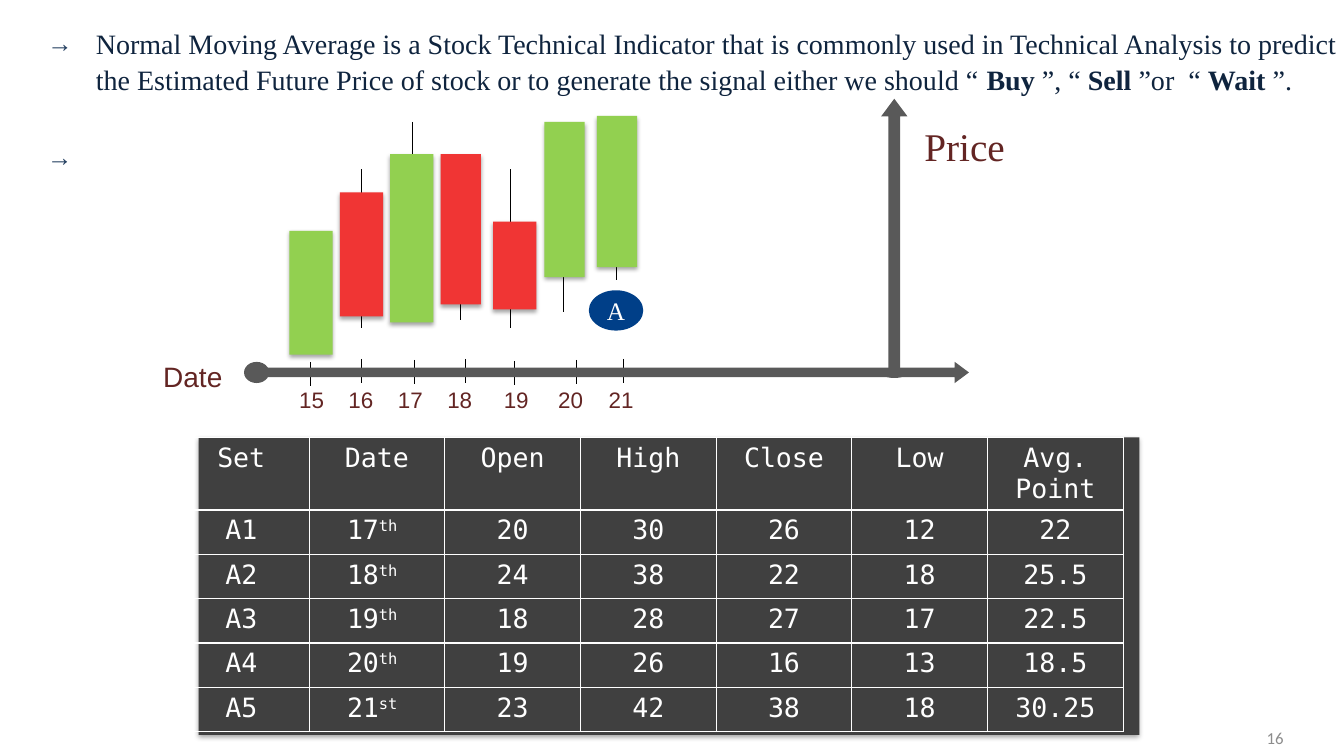
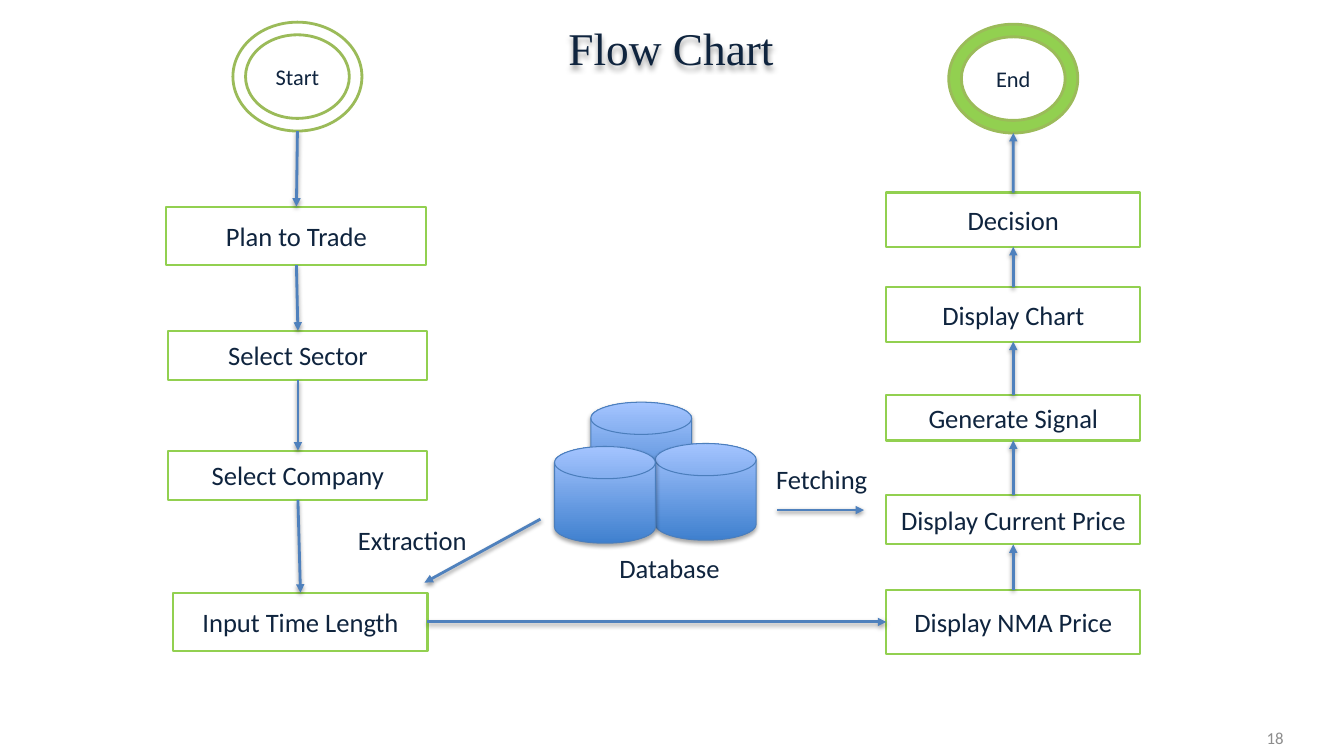
"""Build a moving-average slide and a flow-chart slide."""
from dataclasses import dataclass
from itertools import pairwise
from typing import NamedTuple, Optional

from lxml import etree
from pptx import Presentation
from pptx import util as u
from pptx.dml.color import RGBColor
from pptx.enum import shapes, text
from pptx.oxml import ns

NAVY, MAROON, WHITE, BLACK = "0F243E", "632523", "FFFFFF", "000000"
GREEN, RED, OLIVE, GRAY = "92D050", "F03534", "9BBB59", "595959"
ARROW_BLUE, BULLET_BLUE, BADGE_BLUE, DISK_EDGE = "4F81BD", "254061", "003F88", "4B7EBC"
DISK_DARK, DISK_LIGHT, PANEL, NUMBER_GRAY = "3F80CE", "A4C4FF", "404040", "8C8C8C"
SERIF, SANS, BODY, MONO = "Times New Roman", "Arial", "Calibri", "DejaVu Sans Mono"
LEFT, CENTER, RIGHT = text.PP_ALIGN.LEFT, text.PP_ALIGN.CENTER, text.PP_ALIGN.RIGHT
TOP, MIDDLE = text.MSO_ANCHOR.TOP, text.MSO_ANCHOR.MIDDLE
KIND = shapes.MSO_SHAPE


class Frame(NamedTuple):
    """Position and size in inches."""
    left: float
    top: float
    width: float
    height: float

    @property
    def center(self) -> float:
        """Horizontal middle."""
        return self.left + self.width / 2

    @property
    def bottom(self) -> float:
        """Lower edge."""
        return self.top + self.height

    def lengths(self) -> list:
        """Return the four values as lengths."""
        return [u.Inches(value) for value in self]


class Style(NamedTuple):
    """Look of a paragraph."""
    font: str
    size: float
    color: str
    align: text.PP_ALIGN = LEFT


@dataclass
class Day:
    """One trading day: axis tick, label and candle."""
    date: str
    tick: float
    tick_top: float
    label: float
    color: str
    candle: Frame
    wick: Optional[tuple] = None


@dataclass
class Step:
    """One node of the flow chart."""
    label: str
    frame: Frame


STEP = Style(BODY, 19, NAVY, CENTER)
WICK = 1.57
DAYS = [
    Day("15", 3.08, 3.59, 3.09, GREEN, Frame(2.87, 2.29, 0.43, 1.23)),
    Day("16", 3.59, 3.56, 3.58, RED, Frame(3.37, 1.91, 0.43, 1.23), (3.59, 1.68)),
    Day("17", 4.11, 3.57, 4.07, GREEN, Frame(3.87, 1.53, 0.43, 1.67), (4.09, 1.21)),
    Day("18", 4.62, 3.56, 4.56, RED, Frame(4.37, 1.53, 0.4, 1.49), (4.57, 1.6)),
    Day("19", 5.1, 3.58, 5.12, RED, Frame(4.89, 2.2, 0.43, 0.87), (5.06, 1.68)),
    Day("20", 5.72, 3.57, 5.66, GREEN, Frame(5.4, 1.21, 0.4, 1.54), (5.59, 1.53)),
    Day("21", 6.18, 3.56, 6.16, GREEN, Frame(5.92, 1.15, 0.4, 1.5), (6.11, 1.21)),
]
HEADINGS = ["Set", "Date", "Open", "High", "Close", "Low", "Avg. Point"]
ROWS = [
    ["A1", ("17", "th "), "20", "30", "26", "12", "22"],
    ["A2", ("18", "th "), "24", "38", "22", "18", "25.5"],
    ["A3", ("19", "th "), "18", "28", "27", "17", "22.5"],
    ["A4", ("20", "th "), "19", "26", "16", "13", "18.5"],
    ["A5", ("21", "st "), "23", "42", "38", "18", "30.25"],
]
INTRO = [
    ("Normal Moving Average is a Stock Technical Indicator that is commonly used in "
     "Technical Analysis to predict the Estimated Future Price of stock or to generate "
     "the signal either we should “ ", False),
    ("Buy", True), (" ”, “ ", False), ("Sell", True), (" ”or  “ ", False),
    ("Wait ", True), ("”.", False),
]
START = Step("Start", Frame(2.31, 0.22, 1.28, 1.08))
END = Step("End", Frame(9.41, 0.24, 1.28, 1.08))
INPUTS = [
    Step("Plan to Trade", Frame(1.65, 2.05, 2.58, 0.58)),
    Step("Select Sector", Frame(1.67, 3.28, 2.57, 0.49)),
    Step("Select Company", Frame(1.67, 4.47, 2.57, 0.49)),
    Step("Input Time Length", Frame(1.72, 5.88, 2.52, 0.58)),
]
OUTPUTS = [
    Step(label, Frame(8.79, top, 2.52, height)) for label, top, height in [
        ("Display NMA Price", 5.85, 0.64), ("Display Current Price", 4.91, 0.49),
        ("Generate Signal", 3.92, 0.45), ("Display Chart", 2.85, 0.54),
        ("Decision", 1.91, 0.54)]
]


def rgb(color: str) -> RGBColor:
    """Turn a hex string into a colour."""
    return RGBColor.from_string(color)


def add_child(parent, tag: str, **attributes):
    """Append a DrawingML element."""
    child = etree.SubElement(parent, ns.qn(f"a:{tag}"))
    for name, value in attributes.items():
        child.set(name, str(value))
    return child


def set_shadow(shape, opacity: int = 0, blur: float = 3.1, distance: float = 1.8) -> None:
    """Give a shape a downward shadow, or none when opacity is zero."""
    effects = add_child(shape._element.spPr, "effectLst")
    if opacity:
        outer = add_child(effects, "outerShdw", blurRad=u.Pt(blur), dist=u.Pt(distance),
                          dir=5400000, rotWithShape=0)
        add_child(add_child(outer, "srgbClr", val=BLACK), "alpha", val=opacity * 1000)


def style_paragraph(para, style: Style) -> None:
    """Apply a style to a paragraph."""
    para.alignment = style.align
    para.font.name, para.font.size = style.font, u.Pt(style.size)
    para.font.color.rgb = rgb(style.color)


def write(box, content: str, style: Style, anchor=TOP) -> None:
    """Fill a shape with one styled paragraph."""
    frame = box.text_frame
    frame.word_wrap, frame.vertical_anchor = True, anchor
    frame.auto_size = text.MSO_AUTO_SIZE.NONE
    frame.text = content
    style_paragraph(frame.paragraphs[0], style)


def add_text(page, frame: Frame, content: str, style: Style, anchor=TOP) -> None:
    """Add a text box."""
    write(page.shapes.add_textbox(*frame.lengths()), content, style, anchor)


def add_shape(page, kind, frame: Frame, fill: str = "", line: str = "",
              weight: float = 1, shadow: int = 0):
    """Add a preset shape."""
    shape = page.shapes.add_shape(kind, *frame.lengths())
    if fill:
        shape.fill.solid()
        shape.fill.fore_color.rgb = rgb(fill)
    else:
        shape.fill.background()
    if line:
        shape.line.color.rgb, shape.line.width = rgb(line), u.Pt(weight)
    else:
        shape.line.fill.background()
    set_shadow(shape, shadow)
    return shape


def add_line(page, begin: tuple, end: tuple, color: str = BLACK, weight: float = 0.75,
             arrow: bool = False) -> None:
    """Add a straight line, or a shadowed arrow."""
    points = [u.Inches(value) for value in (*begin, *end)]
    line = page.shapes.add_connector(shapes.MSO_CONNECTOR.STRAIGHT, *points)
    line.line.color.rgb, line.line.width = rgb(color), u.Pt(weight)
    if arrow:
        add_child(line.line._get_or_add_ln(), "tailEnd", type="triangle")
    set_shadow(line, 38 if arrow else 0, distance=1.6)


def add_arrow(page, begin: tuple, end: tuple) -> None:
    """Add a flow arrow."""
    add_line(page, begin, end, ARROW_BLUE, 2, True)


def add_page(deck, layout: int, number: str):
    """Add a page with its number."""
    page = deck.slides.add_slide(deck.slide_layouts[layout])
    add_text(page, Frame(9.72, 7.12, 3.11, 0.4), number,
             Style(BODY, 12, NUMBER_GRAY, RIGHT), MIDDLE)
    return page


def place(box, frame: Frame) -> None:
    """Move and size a placeholder."""
    box.left, box.top, box.width, box.height = frame.lengths()


def add_intro(page) -> None:
    """Write the bulleted introduction in the body placeholder."""
    title = page.shapes.title._element
    title.getparent().remove(title)
    body = page.placeholders[1]
    place(body, Frame(0.37, 0.19, 13.14, 0.8))
    body.text_frame.auto_size = text.MSO_AUTO_SIZE.NONE
    para = body.text_frame.paragraphs[0]
    para.line_spacing, para.space_before, para.space_after = 1.07, u.Pt(0), u.Pt(11.2)
    properties = para._p.get_or_add_pPr()
    properties.set("marL", str(u.Inches(0.48)))
    properties.set("indent", str(-u.Inches(0.48)))
    add_child(add_child(properties, "buClr"), "srgbClr", val=BULLET_BLUE)
    add_child(properties, "buSzPct", val=90000)
    add_child(properties, "buFont", typeface=SANS)
    add_child(properties, "buChar", char="→")
    style_paragraph(para, Style(SERIF, 20, NAVY))
    for content, bold in INTRO:
        span = para.add_run()
        span.text, span.font.bold = content, bold
    add_text(page, Frame(0.37, 1.35, 0.48, 0.4), "→", Style(SANS, 18, BULLET_BLUE))


def add_candles(page) -> None:
    """Draw the candlestick diagram and its axes."""
    for day in DAYS:
        add_line(page, (day.tick, day.tick_top), (day.tick, day.tick_top + 0.24))
        if day.wick:
            x, top = day.wick
            add_line(page, (x, top), (x, top + WICK))
        add_shape(page, KIND.RECTANGLE, day.candle, day.color, shadow=35)
        add_text(page, Frame(day.label - 0.25, 3.78, 0.5, 0.37), day.date,
                 Style(SANS, 16, MAROON, CENTER))
    for kind, frame, dot in [
            (KIND.UP_ARROW, Frame(8.74, 0.98, 0.26, 2.7), Frame(8.74, 3.65, 0.26, 0.1)),
            (KIND.RIGHT_ARROW, Frame(2.59, 3.59, 7.02, 0.21), Frame(2.42, 3.59, 0.25, 0.21))]:
        axis = add_shape(page, kind, frame, GRAY)
        axis.adjustments[0], axis.adjustments[1] = 0.45, 0.67
        add_shape(page, KIND.OVAL, dot, GRAY)
    add_text(page, Frame(9.07, 1.16, 2.66, 0.57), "Price", Style(SERIF, 28, MAROON))
    add_text(page, Frame(1.52, 3.52, 0.93, 0.44), "Date", Style(SANS, 20, MAROON))
    badge = add_shape(page, KIND.OVAL, Frame(5.84, 2.88, 0.54, 0.4), BADGE_BLUE)
    write(badge, "A", Style(SERIF, 18, WHITE, CENTER), MIDDLE)


def add_prices(page) -> None:
    """Add the price table on its dark panel."""
    add_shape(page, KIND.RECTANGLE, Frame(1.97, 4.34, 9.33, 2.95), PANEL, shadow=35)
    area = Frame(1.72, 4.34, 9.42, 2.92)
    table = page.shapes.add_table(len(ROWS) + 1, len(HEADINGS), *area.lengths()).table
    table.first_row = table.horz_banding = False
    for index, row in enumerate(table.rows):
        row.height = u.Inches(0.44 if index else 0.72)
    for cell, value in zip(table.iter_cells(), sum(ROWS, HEADINGS)):
        cell.fill.background()
        para = cell.text_frame.paragraphs[0]
        style_paragraph(para, Style(MONO, 19, WHITE, CENTER))
        number, suffix = value if isinstance(value, tuple) else (value, "")
        para.add_run().text = number
        if suffix:
            span = para.add_run()
            span.text = suffix
            span.font._element.set("baseline", "30000")


def add_flow(page) -> None:
    """Draw the steps, the database and the arrows."""
    for step, fill in [(START, WHITE), (END, GREEN)]:
        ring = add_shape(page, KIND.DONUT, step.frame, fill, OLIVE, 2)
        ring.adjustments[0] = 0.116
        write(ring, step.label, Style(BODY, 16, NAVY, CENTER), MIDDLE)
    for step in INPUTS + OUTPUTS:
        box = add_shape(page, KIND.RECTANGLE, step.frame, line=GREEN, weight=1.5)
        write(box, step.label, STEP, MIDDLE)
    for above, below in pairwise([START, *INPUTS]):
        add_arrow(page, (above.frame.center, above.frame.bottom),
                  (below.frame.center, below.frame.top))
    for below, above in pairwise([*OUTPUTS, END]):
        add_arrow(page, (below.frame.center, below.frame.top),
                  (above.frame.center, above.frame.bottom))
    for begin, end in [((4.24, 6.17), (8.79, 6.17)), ((7.71, 5.06), (8.57, 5.06)),
                       ((5.36, 5.15), (4.21, 5.78))]:
        add_arrow(page, begin, end)
    for left, top in [(5.86, 3.99), (6.5, 4.4), (5.5, 4.43)]:
        disk = add_shape(page, KIND.FLOWCHART_MAGNETIC_DISK, Frame(left, top, 1, 0.96),
                         line=DISK_EDGE, weight=0.75, shadow=35)
        disk.fill.gradient()
        disk.fill.gradient_angle = 90
        for stop, color in zip(disk.fill.gradient_stops, (DISK_DARK, DISK_LIGHT)):
            stop.color.rgb = rgb(color)
    for label, left, top in [("Database", 5.49, 5.43), ("Extraction", 2.94, 5.15),
                             ("Fetching", 7, 4.54)]:
        add_text(page, Frame(left, top, 2.3, 0.42), label, STEP)


def main() -> None:
    """Build and save the deck."""
    deck = Presentation()
    deck.slide_width, deck.slide_height = u.Inches(13.33), u.Inches(7.5)
    average = add_page(deck, 1, "16")
    add_intro(average)
    add_candles(average)
    add_prices(average)
    flow = add_page(deck, 5, "18")
    title = flow.shapes.title
    place(title, Frame(5.22, 0.22, 2.87, 0.49))
    write(title, "Flow Chart", Style(SERIF, 32.4, NAVY, CENTER), MIDDLE)
    set_shadow(title, 40, 4, 3)
    add_flow(flow)
    deck.save("out.pptx")


if __name__ == "__main__":
    main()
